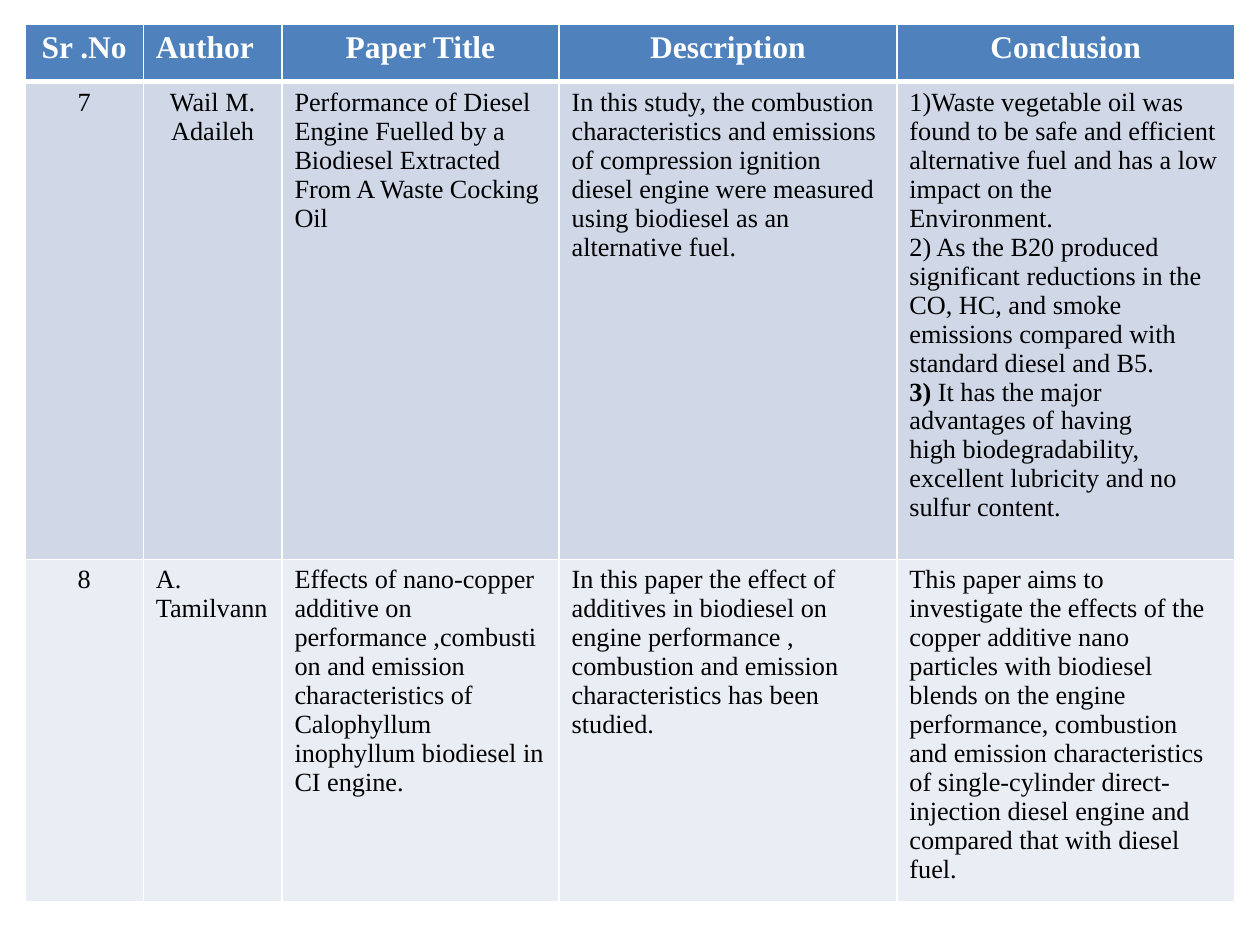
import lxml.etree
import pptx
import pptx.dml.color
import pptx.enum.text
import pptx.oxml.ns
import pptx.util

Pt = pptx.util.Pt
ALIGN = pptx.enum.text.PP_ALIGN
THEME = {
    "font": "Times New Roman",
    "border": "FFFFFF",
    "fills": ["4F81BD", "D0D8E8", "E9EDF4"],
    "header": {"size": Pt(18), "bold": True, "color": "FFFFFF"},
    "body": {"size": Pt(15), "bold": False, "color": "000000"},
}

COLUMN_WIDTHS = [67.7, 79.2, 158.4, 193, 193]
ROW_HEIGHTS = [33.1, 272.9, 195.8]
CENTERED = {(0, 0), (0, 2), (0, 3), (0, 4), (1, 0), (1, 1), (2, 0)}
BOLD_LEAD = "3)"

# Each cell is a list of paragraphs
ROWS = [
    [["Sr .No"], ["Author"], ["Paper Title"], ["Description"], ["Conclusion"]],
    [
        ["7"],
        ["Wail M. Adaileh"],
        ["Performance of Diesel Engine Fuelled by a Biodiesel Extracted "
         "From A Waste Cocking Oil"],
        ["In this study, the combustion characteristics and emissions of "
         "compression ignition diesel engine were measured using biodiesel "
         "as an alternative fuel."],
        ["1)Waste vegetable oil was found to be safe and efficient "
         "alternative fuel and has a low impact on the",
         "Environment.",
         "2) As the B20 produced significant reductions in the CO, HC, and "
         "smoke emissions compared with",
         "standard diesel and B5.",
         "3) It has the major advantages of having",
         "high biodegradability, excellent lubricity and no sulfur content."],
    ],
    [
        ["8"],
        ["A.", "Tamilvann"],
        ["Effects of nano-copper additive on performance ,combustion and "
         "emission characteristics of Calophyllum inophyllum biodiesel in "
         "CI engine."],
        ["In this paper the effect of additives in biodiesel on engine "
         "performance , combustion and emission characteristics has been "
         "studied."],
        ["This paper aims to investigate the effects of the copper additive "
         "nano particles with biodiesel blends on the engine performance, "
         "combustion and emission characteristics of single-cylinder "
         "direct-injection diesel engine and compared that with diesel fuel."],
    ],
]


def add_span(para, text, style, **changes):
    span = para.add_run()
    span.text = text
    values = {"name": THEME["font"], "size": style["size"],
              "bold": style["bold"], **changes}
    for name, value in values.items():
        setattr(span.font, name, value)
    span.font.color.rgb = pptx.dml.color.RGBColor.from_string(style["color"])


def set_borders(cell, widths):
    properties = cell._tc.get_or_add_tcPr()
    qn = pptx.oxml.ns.qn
    for position, (side, width) in enumerate(widths.items()):
        line = lxml.etree.Element(qn(f"a:ln{side}"), w=str(Pt(width)))
        fill = lxml.etree.SubElement(line, qn("a:solidFill"))
        lxml.etree.SubElement(fill, qn("a:srgbClr"), val=THEME["border"])
        properties.insert(position, line)


# Page
deck = pptx.Presentation()
deck.slide_width, deck.slide_height = Pt(720), Pt(540)
page = deck.slides.add_slide(deck.slide_layouts[6])

# Table grid
table = page.shapes.add_table(
    len(ROWS), len(COLUMN_WIDTHS), Pt(14.2), Pt(13.6),
    Pt(sum(COLUMN_WIDTHS)), Pt(sum(ROW_HEIGHTS))).table
for column, width in zip(table.columns, COLUMN_WIDTHS):
    column.width = Pt(width)
for row, height in zip(table.rows, ROW_HEIGHTS):
    row.height = Pt(height)

# Cells
for r, texts in enumerate(ROWS):
    style = THEME["header" if r == 0 else "body"]
    for c, paragraphs in enumerate(texts):
        cell = table.cell(r, c)
        cell.fill.solid()
        cell.fill.fore_color.rgb = pptx.dml.color.RGBColor.from_string(
            THEME["fills"][r])
        set_borders(cell, {"L": 1, "R": 1, "T": 3 if r == 1 else 1,
                           "B": 3 if r == 0 else 1})
        for index, text in enumerate(paragraphs):
            frame = cell.text_frame
            para = frame.add_paragraph() if index else frame.paragraphs[0]
            para.alignment = ALIGN.CENTER if (r, c) in CENTERED else ALIGN.LEFT
            if text.startswith(BOLD_LEAD):
                add_span(para, BOLD_LEAD, style, bold=True)
                text = text.removeprefix(BOLD_LEAD)
            add_span(para, text, style)

deck.save("out.pptx")
